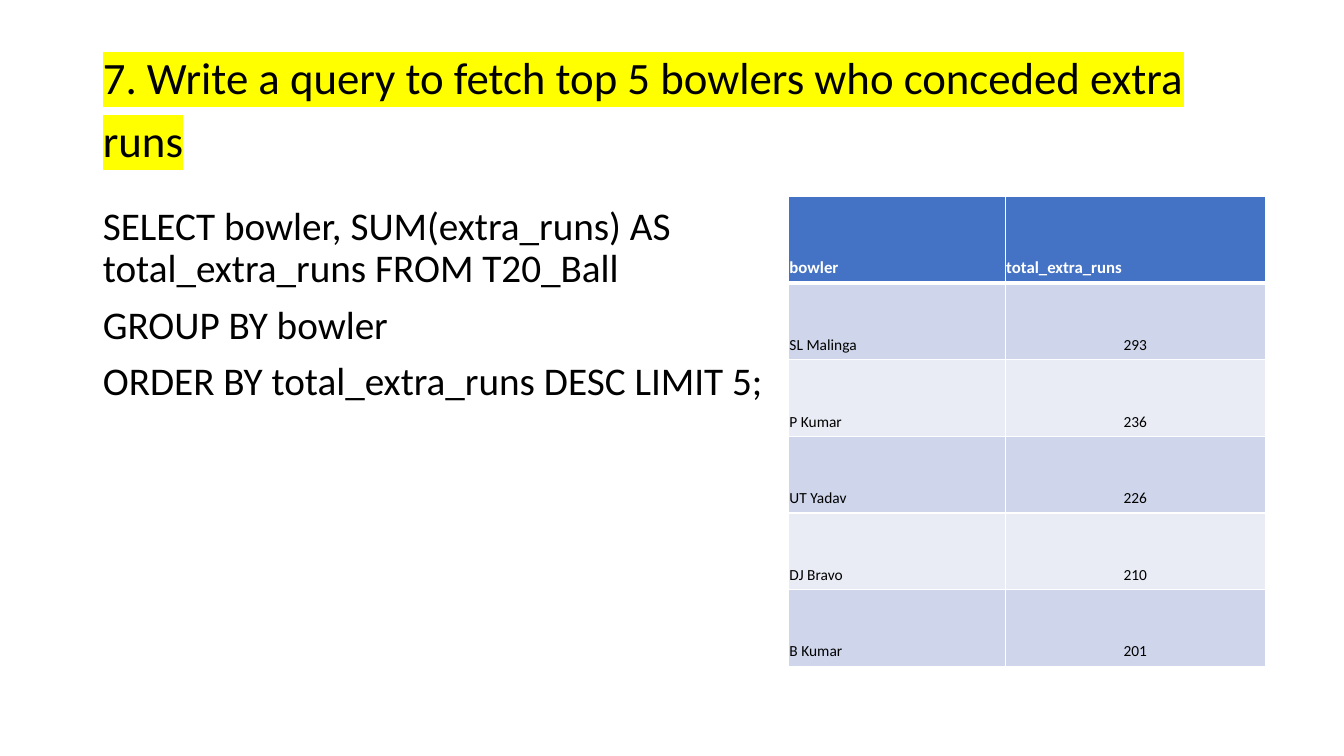
from dataclasses import dataclass

from lxml.etree import SubElement
from pptx import Presentation
from pptx.dml.color import RGBColor as RGB
from pptx.enum.text import MSO_ANCHOR as ANCHOR, MSO_AUTO_SIZE as AUTO, PP_ALIGN as ALIGN
from pptx.oxml import parse_xml
from pptx.oxml.ns import nsdecls, qn
from pptx.util import Inches, Pt


@dataclass(frozen=True)
class Theme:
    font: str = "Calibri"
    text: str = "000000"
    white: str = "FFFFFF"
    highlight: str = "FFFF00"
    header: str = "4472C4"
    bands: tuple = ("CFD5EA", "E9EBF5")
    title_size: int = 32
    title_end_size: int = 44
    body_size: int = 28
    header_size: int = 12
    cell_size: int = 11


THEME = Theme()
TITLE = "7. Write a query to fetch top 5 bowlers who conceded extra runs"
QUERY = [
    "SELECT bowler, SUM(extra_runs) AS total_extra_runs FROM T20_Ball",
    "GROUP BY bowler",
    "ORDER BY total_extra_runs DESC LIMIT 5;",
]
BOWLERS = [
    ("bowler", "total_extra_runs"),
    ("SL Malinga", "293"),
    ("P Kumar", "236"),
    ("UT Yadav", "226"),
    ("DJ Bravo", "210"),
    ("B Kumar", "201"),
]


def style_run(r, size, color=THEME.text, bold=False):
    r.font.size = Pt(size)
    r.font.bold = bold
    r.font.color.rgb = RGB.from_string(color)
    r.font.name = THEME.font


def highlight_run(r, color):
    fill = r.font._element.find(qn("a:solidFill"))
    fill.addnext(parse_xml(
        f'<a:highlight {nsdecls("a")}><a:srgbClr val="{color}"/></a:highlight>'))


def place(sp, left, top, width, height):
    sp.left, sp.top = Inches(left), Inches(top)
    sp.width, sp.height = Inches(width), Inches(height)


def set_title(sp):
    place(sp, 0.92, 0.4, 11.5, 1.45)
    tf = sp.text_frame
    tf.auto_size = AUTO.NONE
    tf.vertical_anchor = ANCHOR.MIDDLE
    tf.text = TITLE
    p = tf.paragraphs[0]
    p.alignment = ALIGN.LEFT
    p.line_spacing = 0.9
    style_run(p.runs[0], THEME.title_size)
    highlight_run(p.runs[0], THEME.highlight)
    r = p.add_run()
    r.text = "\u00a0"
    style_run(r, THEME.title_end_size)


def set_query(sp):
    place(sp, 0.92, 2, 6.9, 4.76)
    tf = sp.text_frame
    tf.auto_size = AUTO.NONE
    tf.text = "\n".join(QUERY)
    for p in tf.paragraphs:
        p.line_spacing = 0.9
        p.space_before = Pt(10)
        pPr = p._p.get_or_add_pPr()
        pPr.set("marL", "0")
        pPr.set("indent", "0")
        SubElement(pPr, qn("a:buNone"))
        style_run(p.runs[0], THEME.body_size)


def set_borders(cell, widths):
    tcPr = cell._tc.get_or_add_tcPr()
    for i, (side, width) in enumerate(widths.items()):
        tcPr.insert(i, parse_xml(
            f'<a:ln{side} {nsdecls("a")} w="{Pt(width)}"><a:solidFill>'
            f'<a:srgbClr val="{THEME.white}"/></a:solidFill></a:ln{side}>'))


def set_cell(cell, text, row, col):
    header = row == 0
    cell.text = text
    cell.vertical_anchor = ANCHOR.BOTTOM
    cell.margin_left = cell.margin_top = cell.margin_right = Inches(0.01)
    cell.margin_bottom = Inches(0.05)
    cell.fill.solid()
    fill = THEME.header if header else THEME.bands[(row - 1) % 2]
    cell.fill.fore_color.rgb = RGB.from_string(fill)
    set_borders(cell, {"L": 1, "R": 1, "T": 3 if row == 1 else 1, "B": 3 if header else 1})
    p = cell.text_frame.paragraphs[0]
    p.alignment = ALIGN.CENTER if col and not header else ALIGN.LEFT
    if header:
        style_run(p.runs[0], THEME.header_size, THEME.white, True)
    else:
        style_run(p.runs[0], THEME.cell_size)


def add_bowlers(s):
    table = s.shapes.add_table(
        len(BOWLERS), 2, Inches(7.82), Inches(1.95), Inches(4.73), Inches(4.66)).table
    for column, width in zip(table.columns, (2.15, 2.58)):
        column.width = Inches(width)
    for i, values in enumerate(BOWLERS):
        table.rows[i].height = Inches(0.76 if i else 0.86)
        for j, text in enumerate(values):
            set_cell(table.cell(i, j), text, i, j)


def main():
    prs = Presentation()
    prs.slide_width, prs.slide_height = Inches(13.33), Inches(7.5)
    s = prs.slides.add_slide(prs.slide_layouts[1])
    set_title(s.shapes.title)
    set_query(s.placeholders[1])
    add_bowlers(s)
    prs.save("out.pptx")


main()
